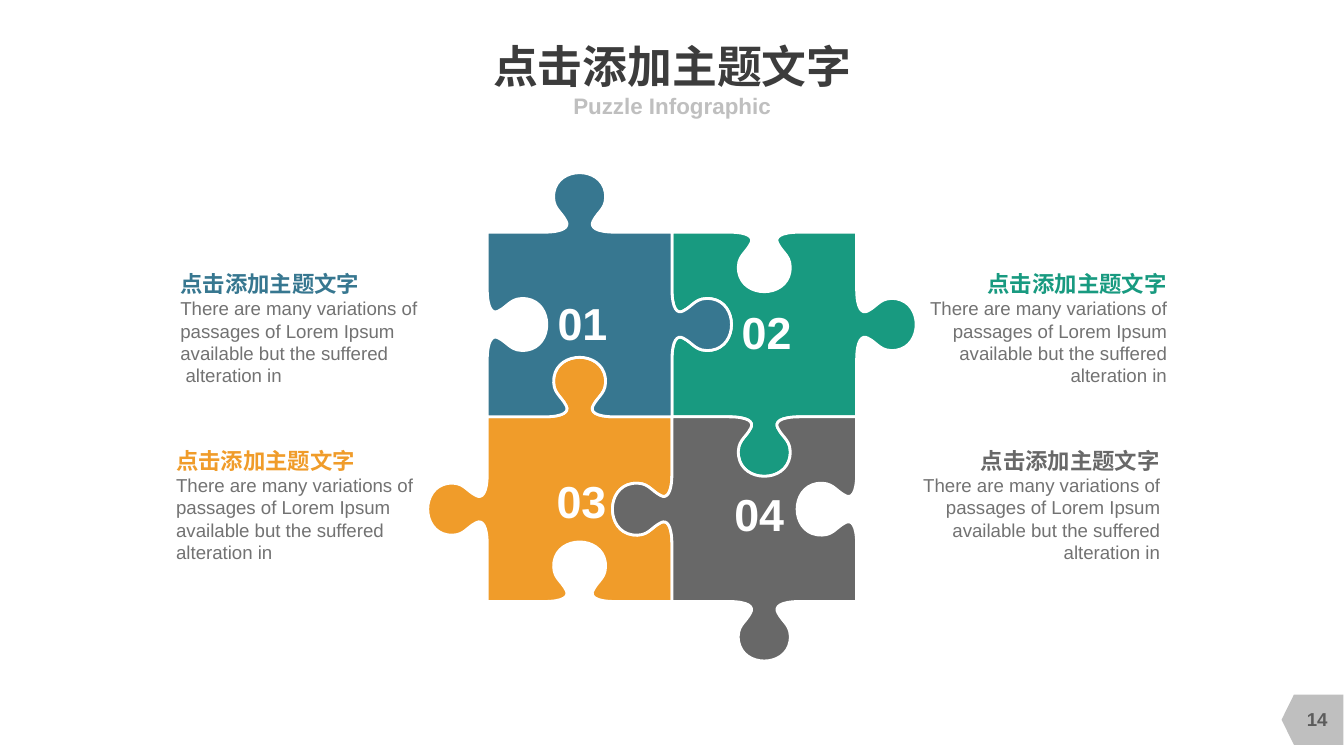
from dataclasses import dataclass

from lxml import etree
from pptx import Presentation
from pptx.dml.color import RGBColor
from pptx.enum.shapes import MSO_SHAPE
from pptx.enum.text import MSO_ANCHOR, MSO_AUTO_SIZE, PP_ALIGN
from pptx.oxml.ns import qn
from pptx.util import Cm, Pt

LEFT, CENTER, RIGHT = PP_ALIGN.LEFT, PP_ALIGN.CENTER, PP_ALIGN.RIGHT
TOP, MIDDLE, BOTTOM = MSO_ANCHOR.TOP, MSO_ANCHOR.MIDDLE, MSO_ANCHOR.BOTTOM
FIT_TEXT = MSO_AUTO_SIZE.SHAPE_TO_FIT_TEXT
PAGE_TAG = MSO_SHAPE.FLOWCHART_OFFPAGE_CONNECTOR


@dataclass(frozen=True)
class Theme:
    font: str = "Arial"
    title: str = "3C3C3C"
    light: str = "BFBFBF"
    body: str = "727272"
    page_number: str = "5C5C5C"
    white: str = "FFFFFF"
    blue: str = "377790"
    green: str = "189A80"
    orange: str = "F09C2A"
    gray: str = "686868"
    big: int = 24
    heading: int = 12
    small: int = 10


theme = Theme()

deck = Presentation()
deck.slide_width, deck.slide_height = Cm(25.4), Cm(14.29)
page = deck.slides.add_slide(deck.slide_layouts[6])


def add_text(position, lines, align=CENTER, anchor=MIDDLE, wrap=True, inset=True, grow=False):
    """Add a text box; each line is (text, size, colour, bold)."""
    box = page.shapes.add_textbox(*(Cm(length) for length in position))
    frame = box.text_frame
    frame.word_wrap = wrap
    frame.vertical_anchor = anchor
    if grow:
        frame.auto_size = FIT_TEXT
    if not inset:
        frame.margin_left = frame.margin_right = 0
        frame.margin_top = frame.margin_bottom = 0
    frame.text = "\n".join(line[0] for line in lines)
    for para, (_, size, color, bold) in zip(frame.paragraphs, lines):
        para.alignment = align
        for span in para.runs:
            span.font.name = theme.font
            span.font.size = Pt(size)
            span.font.bold = bold
            span.font.color.rgb = RGBColor.from_string(color)


# Page tag in the corner
tag = page.shapes.add_shape(PAGE_TAG, Cm(24.33), Cm(13.02), Cm(0.95), Cm(1.17))
tag.rotation = 90
tag.shadow.inherit = False
tag.fill.solid()
tag.fill.fore_color.rgb = RGBColor.from_string(theme.light)
tag.line.fill.background()

# One puzzle edge as (distance along, distance outwards):
# a line to the knob, five Bezier curves around it, and a line to the corner
SIDE = 3.49
PUZZLE_LEFT, PUZZLE_TOP = 9.21, 4.39
half_knob = [(1.07, 0), (1.45, 0), (1.55, 0.1), (1.49, 0.21),
             (1.39, 0.41), (1.22, 0.45), (1.26, 0.75), (1.34, 1.25)]
mirrored_half = [(SIDE - along, out) for along, out in reversed(half_knob)]
edge = half_knob + mirrored_half + [(SIDE, 0)]

# Column, row, colour, and top/right/bottom/left edges: 1 is a tab, -1 a socket
pieces = [
    (0, 1, theme.orange, (1, -1, -1, 1)),
    (1, 0, theme.green, (-1, 1, 1, -1)),
    (0, 0, theme.blue, (1, 1, -1, -1)),
    (1, 1, theme.gray, (-1, -1, 1, 1)),
]
for column, row, color, edge_signs in pieces:
    x, y = PUZZLE_LEFT + column * SIDE, PUZZLE_TOP + row * SIDE
    dx, dy = 1, 0
    builder = page.shapes.build_freeform(Cm(x), Cm(y))
    for sign in edge_signs:
        builder.add_line_segments(
            [(Cm(x + along * dx + sign * out * dy), Cm(y + along * dy - sign * out * dx))
             for along, out in edge], close=False)
        x, y = x + SIDE * dx, y + SIDE * dy
        dx, dy = -dy, dx
    piece = builder.convert_to_shape()
    piece.shadow.inherit = False
    piece.fill.solid()
    piece.fill.fore_color.rgb = RGBColor.from_string(color)
    piece.line.color.rgb = RGBColor.from_string(theme.white)
    piece.line.width = Pt(1.5)

    # Join each three knob points into one curve, then close the outline
    outline = next(piece._element.iter(qn("a:path")))
    segments = outline.findall(qn("a:lnTo"))
    for start in range(0, len(segments), len(edge)):
        for first in range(start + 1, start + len(edge) - 1, 3):
            curve = etree.Element(qn("a:cubicBezTo"))
            segments[first].addprevious(curve)
            for segment in segments[first:first + 3]:
                curve.append(segment[0])
                outline.remove(segment)
    etree.SubElement(outline, qn("a:close"))

# Title and subtitle
HEADING = "点击添加主题文字"
add_text((4.87, 0.74, 15.67, 0.99), [(HEADING, theme.big, theme.title, True)],
         wrap=False, inset=False)
add_text((6.99, 1.72, 11.43, 0.56),
         [("Puzzle Infographic", theme.heading, theme.light, True)], inset=False)

# Numbers on the pieces
for number, left, top in [("01", 10.53, 5.59), ("03", 10.51, 8.95),
                          ("04", 13.87, 9.2), ("02", 14.01, 5.75)]:
    add_text((left, top, 0.96, 1.02), [(number, theme.big, theme.white, True)],
             anchor=BOTTOM, wrap=False, inset=False, grow=True)

# Descriptions beside the puzzle; \v is a line break
PASSAGE = "There are many variations of passages of Lorem Ipsum available but the suffered"
descriptions = [
    (3.08, 8.32, 6, LEFT, theme.orange, " \valteration in"),
    (16.86, 4.98, 5.44, RIGHT, theme.green, " alteration in"),
    (3.16, 4.98, 6, LEFT, theme.blue, "\v alteration in"),
    (16.73, 8.32, 5.44, RIGHT, theme.gray, " alteration in"),
]
for left, top, width, align, color, ending in descriptions:
    add_text((left, top, width, 2.49),
             [(HEADING, theme.heading, color, True),
              (PASSAGE + ending, theme.small, theme.body, False)],
             align=align, anchor=TOP, grow=True)

add_text((24.26, 13.21, 1.27, 0.76), [("14", theme.small, theme.page_number, True)])

deck.save("out.pptx")
